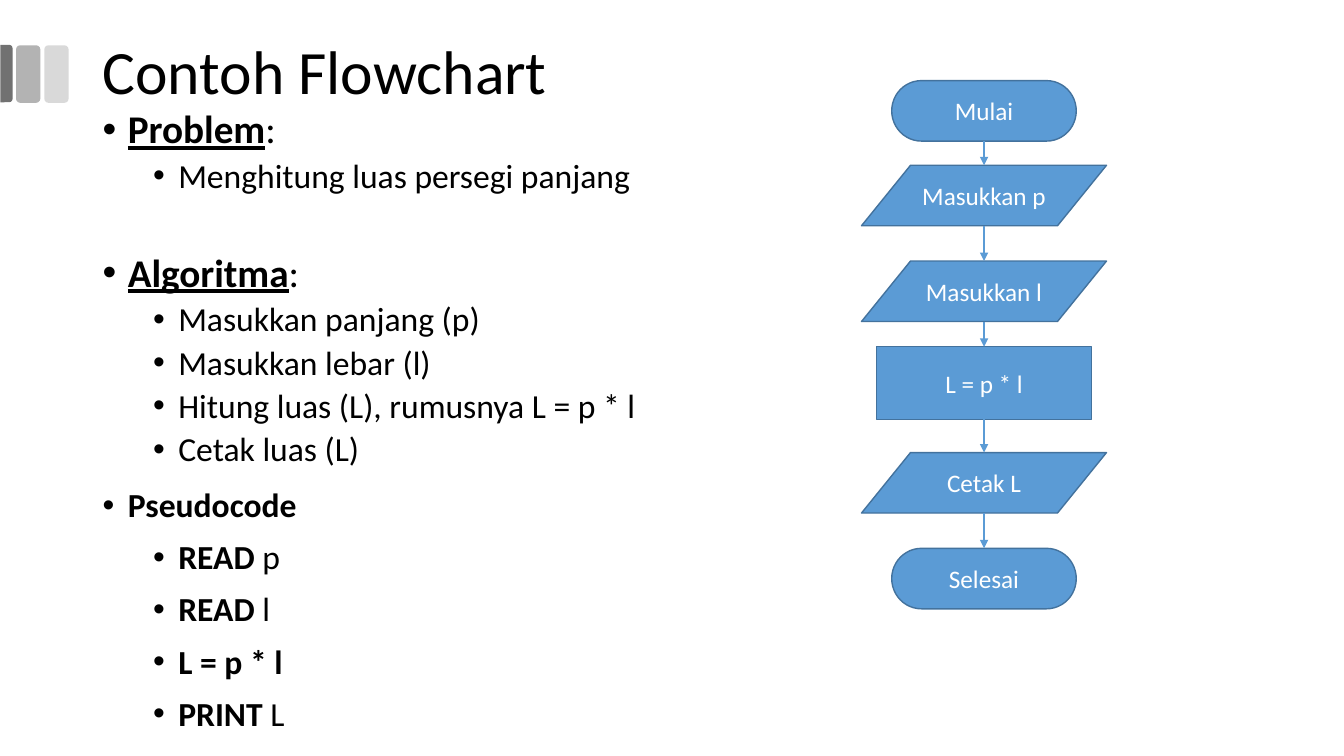
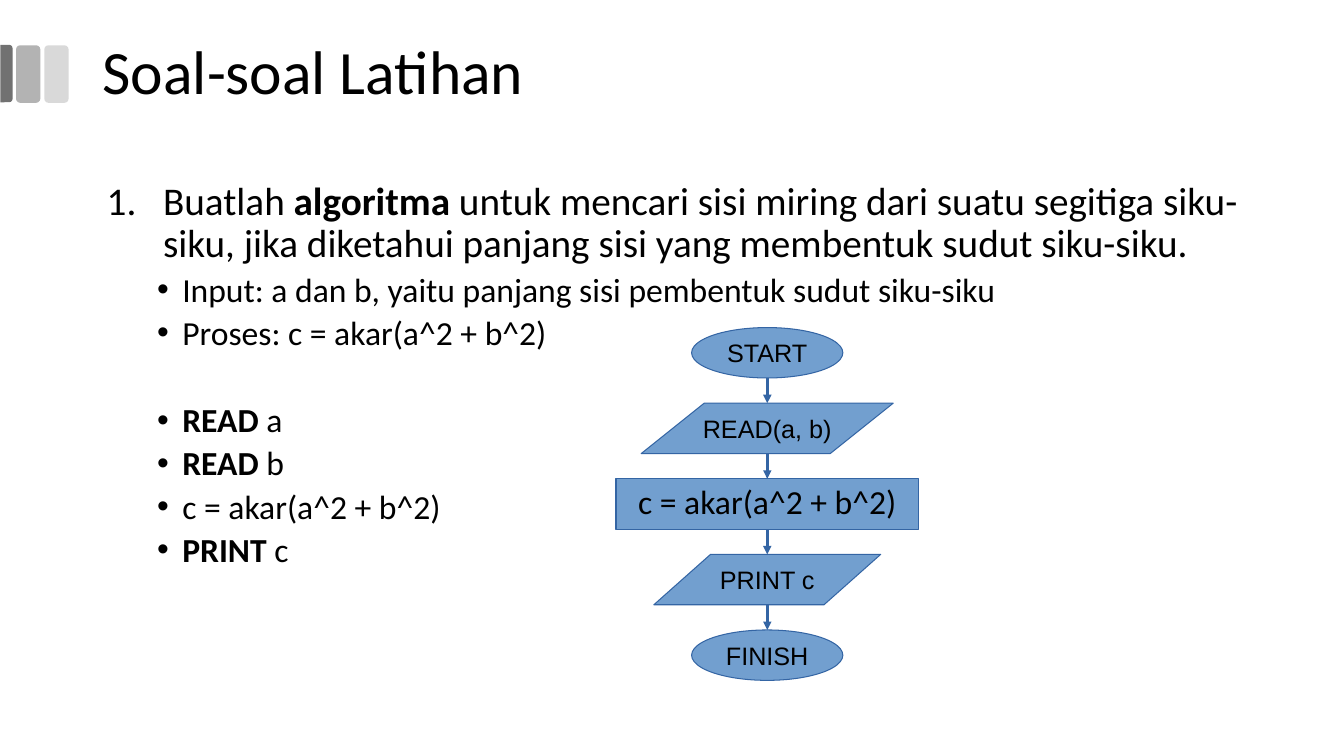
from lxml import etree
from pptx import Presentation
from pptx.dml.color import RGBColor
from pptx.enum.shapes import MSO_CONNECTOR, MSO_SHAPE
from pptx.enum.text import MSO_ANCHOR, PP_ALIGN
from pptx.oxml.ns import qn
from pptx.util import Inches, Pt

STRAIGHT = MSO_CONNECTOR.STRAIGHT
ROUND, ROUND_TOP = MSO_SHAPE.ROUNDED_RECTANGLE, MSO_SHAPE.ROUND_2_SAME_RECTANGLE
TERMINATOR = MSO_SHAPE.FLOWCHART_TERMINATOR
IN_OUT = MSO_SHAPE.FLOWCHART_DATA
PROCESS = MSO_SHAPE.FLOWCHART_PROCESS
OVAL, SLANTED, BOX = MSO_SHAPE.OVAL, MSO_SHAPE.PARALLELOGRAM, MSO_SHAPE.RECTANGLE
TOP, MIDDLE = MSO_ANCHOR.TOP, MSO_ANCHOR.MIDDLE
LEFT, CENTER = PP_ALIGN.LEFT, PP_ALIGN.CENTER

COLORS = {
    "text": "000000", "white": "FFFFFF",
    "band_light": "D9D9D9", "band_mid": "B3B3B3", "band_dark": "717171",
    "step": "5B9BD5", "step_line": "43729D",
    "task": "729FCF", "task_line": "3465A4",
}

# Paragraph styles: size, left indent, first-line indent, space before, bullet
STYLES = {
    "head": dict(size=28, indent=0.25, first=-0.25, before=10, bullet="•"),
    "number": dict(size=28, indent=0.56, first=-0.56, before=10, bullet="1."),
    "item": dict(size=24, indent=0.75, first=-0.25, before=5, bullet="•"),
}
STYLES["head_gap"] = {**STYLES["head"], "before": 41.4}
STYLES["item_gap"] = {**STYLES["item"], "before": 36.4}
STYLES["code_head"] = {**STYLES["head"], "size": 24, "before": 14.2}
STYLES["code"] = {**STYLES["item"], "before": 11.3}

# Runs are (text, marks): b is bold, u is underlined
EXAMPLE = [
    ("head", [("Problem", "bu"), (":", "")]),
    ("item", [("Menghitung luas persegi panjang", "")]),
    ("head_gap", [("Algoritma", "bu"), (":", "")]),
    ("item", [("Masukkan panjang (p)", "")]),
    ("item", [("Masukkan lebar (l)", "")]),
    ("item", [("Hitung luas (L), rumusnya L = p * l", "")]),
    ("item", [("Cetak luas (L)", "")]),
    ("code_head", [("Pseudocode", "b")]),
    ("code", [("READ ", "b"), ("p", "")]),
    ("code", [("READ ", "b"), ("l", "")]),
    ("code", [("L = p * l", "b")]),
    ("code", [("PRINT ", "b"), ("L", "")]),
]
EXERCISE = [
    ("number", [("Buatlah ", ""), ("algoritma", "b"),
                (" untuk mencari sisi miring dari suatu segitiga siku-siku, jika "
                 "diketahui panjang sisi yang membentuk sudut siku-siku.", "")]),
    ("item", [("Input: a dan b, yaitu panjang sisi pembentuk sudut siku-siku", "")]),
    ("item", [("Proses: c = akar(a^2 + b^2)", "")]),
    ("item_gap", [("READ", "b"), (" a", "")]),
    ("item", [("READ", "b"), (" b", "")]),
    ("item", [("c = akar(a^2 + b^2)", "")]),
    ("item", [("PRINT", "b"), (" c", "")]),
]

# Flowchart steps: shape, text, top, width, height
AREA_STEPS = [
    (TERMINATOR, "Mulai", 0.8, 1.83, 0.6),
    (IN_OUT, "Masukkan p", 1.64, 2.43, 0.6),
    (IN_OUT, "Masukkan l", 2.59, 2.43, 0.6),
    (PROCESS, "L = p * l", 3.44, 2.13, 0.72),
    (IN_OUT, "Cetak L", 4.49, 2.43, 0.6),
    (TERMINATOR, "Selesai", 5.44, 1.83, 0.6),
]
TASKS = [(OVAL, "START", 1.5), (SLANTED, "READ(a, b)", 2.5),
         (BOX, "c = akar(a^2 + b^2)", 3), (SLANTED, "PRINT c", 2.25),
         (OVAL, "FINISH", 1.5)]
TASK_STEPS = [(kind, text, 3.25 + 0.75 * i, width, 0.5)
              for i, (kind, text, width) in enumerate(TASKS)]

# Bands: shape, left, top, width, height, rotation, corner, colour
BANDS = [
    (ROUND, 0.44, 0.45, 0.24, 0.57, 0, 0.167, "band_light"),
    (ROUND, 0.16, 0.45, 0.24, 0.57, 0, 0.167, "band_mid"),
    (ROUND_TOP, -0.22, 0.67, 0.57, 0.12, 90, 0.292, "band_dark"),
]


def rgb(name):
    """Return a named colour."""
    return RGBColor.from_string(COLORS[name])


def set_bullet(p, mark, indent, first):
    """Give a paragraph its hanging indent and bullet or number."""
    ppr = p._p.get_or_add_pPr()
    ppr.set("marL", str(Inches(indent)))
    ppr.set("indent", str(Inches(first)))
    color = etree.SubElement(ppr, qn("a:buClr"))
    etree.SubElement(color, qn("a:srgbClr"), val=COLORS["text"])
    if mark == "1.":
        etree.SubElement(ppr, qn("a:buFont"), typeface="+mj-lt")
        etree.SubElement(ppr, qn("a:buAutoNum"), type="arabicPeriod")
    else:
        etree.SubElement(ppr, qn("a:buFont"), typeface="Arial")
        etree.SubElement(ppr, qn("a:buChar"), char=mark)


def write(p, runs, size=18, font="Calibri", color="text", align=LEFT,
          spacing=0.9, before=0, bullet=None, indent=0, first=0):
    """Write formatted runs into a paragraph."""
    p.alignment, p.line_spacing, p.space_before = align, spacing, Pt(before)
    if bullet:
        set_bullet(p, bullet, indent, first)
    for text, marks in runs:
        r = p.add_run()
        r.text = text
        r.font.size, r.font.name = Pt(size), font
        r.font.color.rgb = rgb(color)
        r.font.bold, r.font.underline = "b" in marks, "u" in marks


def add_text(s, left, top, width, height, paragraphs, anchor=TOP):
    """Add a wrapped text box holding (runs, format) paragraphs."""
    tf = s.shapes.add_textbox(*map(Inches, (left, top, width, height))).text_frame
    tf.word_wrap, tf.vertical_anchor = True, anchor
    for i, (runs, style) in enumerate(paragraphs):
        write(tf.add_paragraph() if i else tf.paragraphs[0], runs, **style)


def add_shape(s, kind, left, top, width, height, fill, line=None, weight=0):
    """Add a flat filled shape, outlined if a line colour is given."""
    sp = s.shapes.add_shape(kind, *map(Inches, (left, top, width, height)))
    sp.shadow.inherit = False
    sp.fill.solid()
    sp.fill.fore_color.rgb = rgb(fill)
    if line:
        sp.line.color.rgb, sp.line.width = rgb(line), Pt(weight)
    else:
        sp.line.fill.background()
    return sp


def add_arrow(s, x, top, bottom, color):
    """Add a thin downward arrow."""
    c = s.shapes.add_connector(STRAIGHT, *map(Inches, (x, top, x, bottom)))
    c.line.color.rgb, c.line.width = rgb(color), Pt(0)
    etree.SubElement(c.line._get_or_add_ln(), qn("a:tailEnd"), type="triangle")
    etree.SubElement(c._element.spPr, qn("a:effectLst"))


def add_flowchart(s, steps, center, fill, line, weight, arrow, color, font):
    """Stack the steps on a centre line and join neighbours with arrows."""
    for kind, text, top, width, height in steps:
        sp = add_shape(s, kind, center - width / 2, top, width, height,
                       fill, line, weight)
        if kind == SLANTED:
            sp.adjustments[0] = width / height / 4
        tf = sp.text_frame
        tf.word_wrap, tf.vertical_anchor = True, MIDDLE
        style = dict(size=18, font=font, spacing=1)
        if kind == BOX:
            style = dict(size=24, spacing=0.9, before=5)
        write(tf.paragraphs[0], [(text, "")], color=color, align=CENTER, **style)
    for (_, _, top, _, height), following in zip(steps, steps[1:]):
        add_arrow(s, center, top + height, following[2], arrow)


def add_slide(prs, title, body, left, top, height):
    """Add a slide with the bands, a title and the body text."""
    s = prs.slides.add_slide(prs.slide_layouts[6])
    for kind, x, y, width, tall, turn, corner, color in BANDS:
        sp = add_shape(s, kind, x, y, width, tall, color)
        sp.rotation, sp.adjustments[0] = turn, corner
    add_text(s, 0.92, 0.01, 11.5, 1.45, [([(title, "")], dict(size=44))], MIDDLE)
    add_text(s, left, top, 11.5, height,
             [(runs, STYLES[name]) for name, runs in body])
    return s


prs = Presentation()
prs.slide_width, prs.slide_height = Inches(13.33), Inches(7.5)

s = add_slide(prs, "Contoh Flowchart", EXAMPLE, 0.92, 1.04, 6.21)
add_flowchart(s, AREA_STEPS, 9.76, "step", "step_line", 0.99, "step",
              "white", "Calibri")

s = add_slide(prs, "Soal-soal Latihan", EXERCISE, 0.96, 1.75, 4.76)
add_flowchart(s, TASK_STEPS, 7.61, "task", "task_line", 0, "task_line",
              "text", "Arial")

prs.save("out.pptx")
